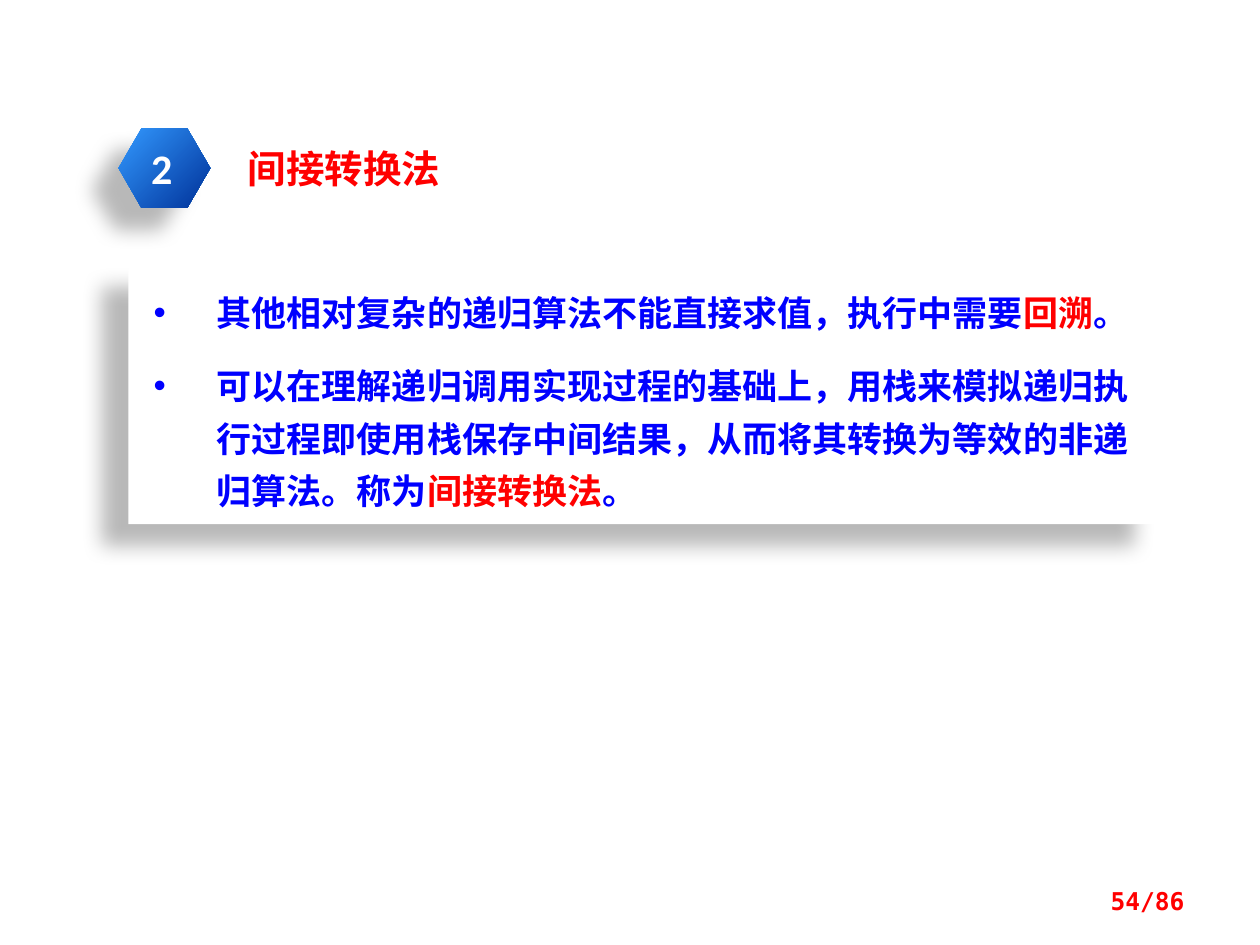
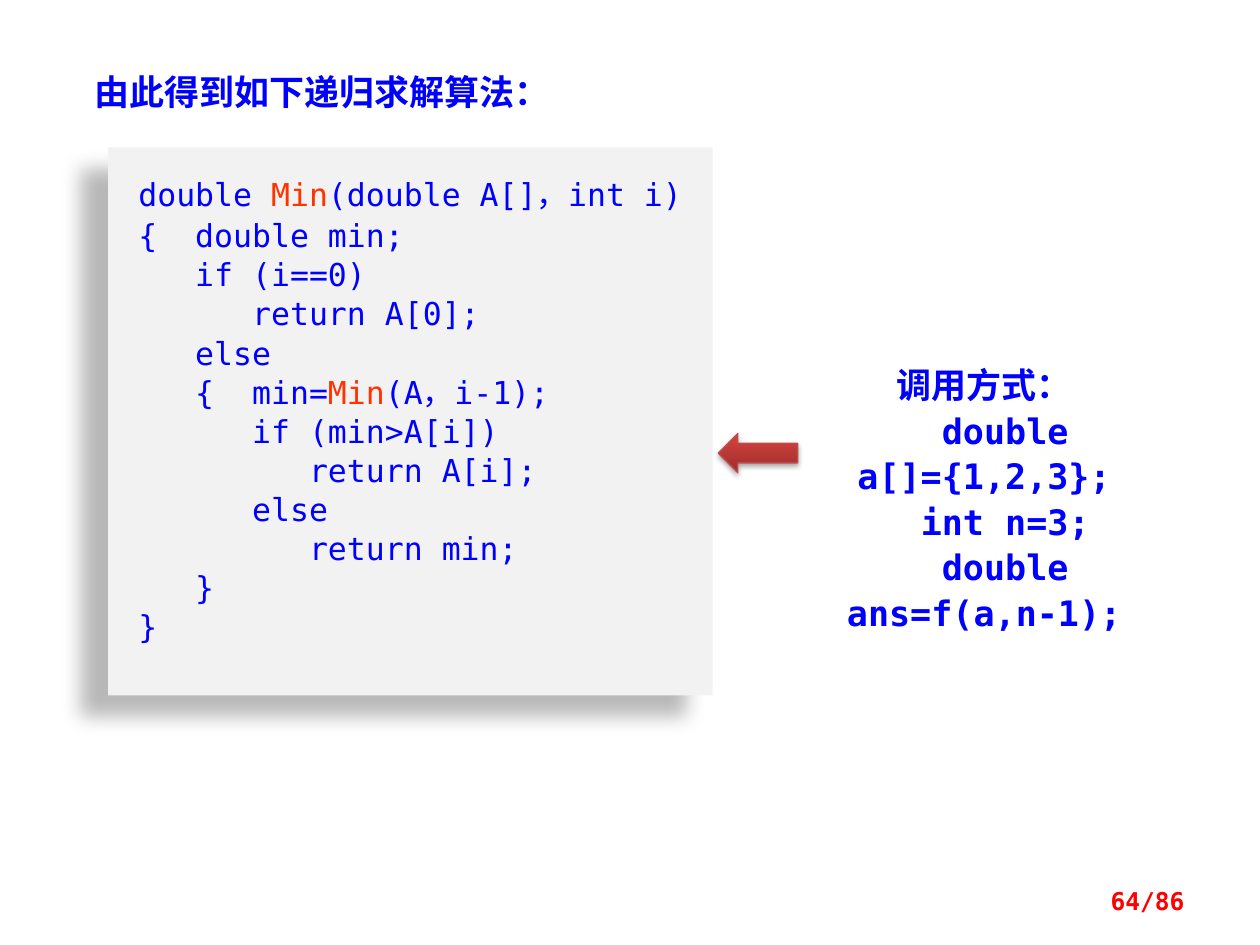
from lxml import etree
from pptx import Presentation
from pptx.dml.color import RGBColor
from pptx.enum.shapes import MSO_SHAPE
from pptx.enum.text import MSO_ANCHOR, PP_ALIGN
from pptx.oxml import parse_xml
from pptx.oxml.ns import nsdecls, qn
from pptx.util import Cm, Pt

RECTANGLE, HEXAGON, LEFT_ARROW = MSO_SHAPE.RECTANGLE, MSO_SHAPE.HEXAGON, MSO_SHAPE.LEFT_ARROW
TOP, MIDDLE = MSO_ANCHOR.TOP, MSO_ANCHOR.MIDDLE
LEFT, CENTER, RIGHT = PP_ALIGN.LEFT, PP_ALIGN.CENTER, PP_ALIGN.RIGHT

COLORS = {
    "blue": "0000FF", "red": "FF0000", "orange": "FF3300", "white": "FFFFFF",
    "code_panel": "F2F2F2", "arrow_line": "BF4C48", "shadow": "000000",
    "badge_light": "3399FF", "badge_dark": "003299",
    "arrow_dark": "9C2F2D", "arrow_light": "CB3E3A", "arrow_edge": "CE3B37",
}
SANS, MONO, LATIN = "Noto Sans CJK SC", "DejaVu Sans Mono", "Calibri"

PANEL_SHADOW = {"alpha": 28, "blur": 11.8, "distance": 19.7, "angle": 141}
ARROW_SHADOW = {"alpha": 35, "blur": 3.1, "distance": 1.8, "angle": 90}
BADGE_FILL = (45, [(0, "badge_light"), (100, "badge_dark")])
ARROW_FILL = (270, [(0, "arrow_dark"), (80, "arrow_light"), (100, "arrow_edge")])


def add_panel(page, kind, place, fill, shadow):
    shape = page.shapes.add_shape(kind, *map(Cm, place))
    shape.line.fill.background()
    if isinstance(fill, str):
        shape.fill.solid()
        shape.fill.fore_color.rgb = RGBColor.from_string(COLORS[fill])
    else:
        angle, stops = fill
        marks = "".join(
            f'<a:gs pos="{at * 1000}"><a:srgbClr val="{COLORS[name]}"/></a:gs>' for at, name in stops)
        shape.fill.background()
        blank = shape._element.spPr.find(qn("a:noFill"))
        blank.getparent().replace(blank, parse_xml(
            f'<a:gradFill {nsdecls("a")} rotWithShape="1"><a:gsLst>{marks}</a:gsLst>'
            f'<a:lin ang="{angle * 60000}" scaled="0"/></a:gradFill>'))
    shape.shadow.inherit = False
    shape._element.spPr.find(qn("a:effectLst")).append(parse_xml(
        f'<a:outerShdw {nsdecls("a")} blurRad="{Pt(shadow["blur"])}" dist="{Pt(shadow["distance"])}" '
        f'dir="{shadow["angle"] * 60000}" rotWithShape="0"><a:srgbClr val="{COLORS["shadow"]}">'
        f'<a:alpha val="{shadow["alpha"] * 1000}"/></a:srgbClr></a:outerShdw>'))
    return shape


def write(box, lines, font, color="blue", accent="red", frame=None, para_format=None,
          first_spacing=None, bullet=False):
    for name, value in {"word_wrap": True, "vertical_anchor": TOP, **(frame or {})}.items():
        setattr(box.text_frame, name, value)
    for index, line in enumerate(lines):
        para = box.text_frame.paragraphs[0] if index == 0 else box.text_frame.add_paragraph()
        if bullet:
            properties = para._p.get_or_add_pPr()
            properties.set("marL", str(Cm(1.27)))
            properties.set("indent", str(-Cm(1.27)))
            etree.SubElement(properties, qn("a:buFont")).set("typeface", "Arial")
            etree.SubElement(properties, qn("a:buChar")).set("char", "•")
        for name, value in {"alignment": LEFT, **(para_format or {})}.items():
            setattr(para, name, value)
        if index == 0:
            para.space_before = Pt(0)
            if first_spacing:
                para.line_spacing = first_spacing
        for position, words in enumerate(line.split("|")):
            span = para.add_run()
            span.text = words
            for name, value in font.items():
                setattr(span.font, name, value)
            span.font.color.rgb = RGBColor.from_string(COLORS[accent if position % 2 else color])
            etree.SubElement(span._r.get_or_add_rPr(), qn("a:ea")).set("typeface", SANS)


deck = Presentation()
deck.slide_width, deck.slide_height = Cm(25.4), Cm(19.05)
blank_layout = deck.slide_layouts[6]

method_page = deck.slides.add_slide(blank_layout)
heading = method_page.shapes.add_textbox(Cm(4.75), Cm(2.79), Cm(4.95), Cm(1.19))
write(heading, ["间接转换法"], {"name": SANS, "size": Pt(22), "bold": True}, "red")

badge = add_panel(method_page, HEXAGON, (2.39, 2.59, 1.85, 1.6), BADGE_FILL, PANEL_SHADOW)
badge.adjustments[0] = 0.289
number = method_page.shapes.add_textbox(Cm(2.79), Cm(2.74), Cm(0.94), Cm(1.27))
write(number, ["2"], {"name": LATIN, "size": Pt(24), "bold": True}, "white",
      frame={"word_wrap": False}, para_format={"alignment": CENTER})
method_page.shapes.add_group_shape([badge, number])

points = add_panel(method_page, RECTANGLE, (2.59, 5.36, 20.83, 5.21), "white", PANEL_SHADOW)
write(points, [
    "其他相对复杂的递归算法不能直接求值，执行中需要|回溯|。",
    "可以在理解递归调用实现过程的基础上，用栈来模拟递归执行过程即使用栈保存中间结果，"
    "从而将其转换为等效的非递归算法。称为|间接转换法|。",
], {"name": MONO, "size": Pt(20), "bold": True}, bullet=True,
    frame={"margin_left": Cm(0.51), "margin_top": Cm(0.3), "margin_bottom": Cm(0.3)},
    para_format={"line_spacing": Pt(30), "space_before": Pt(12)})

code_page = deck.slides.add_slide(blank_layout)
code = add_panel(code_page, RECTANGLE, (2.18, 2.97, 12.19, 11.05), "code_panel", PANEL_SHADOW)
write(code, [
    "double |Min|(double A[]，int i)",
    "{  double min;",
    "   if (i==0)",
    "      return A[0];",
    "   else",
    "   {  min=|Min|(A，i-1);",
    "      if (min>A[i])",
    "         return A[i];",
    "      else",
    "         return min;",
    "   }",
    "}",
], {"name": MONO, "size": Pt(18)}, accent="orange", first_spacing=1.2,
    frame={"margin_left": Cm(0.61), "margin_right": Cm(0.61),
           "margin_top": Cm(0.41), "margin_bottom": Cm(0.41)},
    para_format={"line_spacing": 0.6, "space_before": Pt(9.4)})

lead = code_page.shapes.add_textbox(Cm(1.65), Cm(1.12), Cm(16.43), Cm(1.14))
write(lead, ["由此得到如下递归求解算法："], {"name": SANS, "size": Pt(20), "bold": True},
      para_format={"line_spacing": 1.2})

call = code_page.shapes.add_textbox(Cm(15.47), Cm(7.14), Cm(8.74), Cm(3.96))
write(call, ["调用方式：", "  double a[]={1,2,3};", "  int n=3;", "  double ans=f(a,n-1);"],
      {"name": MONO, "size": Pt(20), "bold": True},
      para_format={"alignment": CENTER, "line_spacing": Pt(26)})

arrow = add_panel(code_page, LEFT_ARROW, (14.48, 8.74, 1.6, 0.79), ARROW_FILL, ARROW_SHADOW)
arrow.line.color.rgb = RGBColor.from_string(COLORS["arrow_line"])
arrow.line.width = Pt(0.75)

for page, page_number in ((method_page, 54), (code_page, 64)):
    footer = page.shapes.add_textbox(Cm(18.21), Cm(17.65), Cm(5.92), Cm(1.02))
    write(footer, [f"{page_number}/86"], {"name": MONO, "size": Pt(14), "bold": True}, "red",
          frame={"vertical_anchor": MIDDLE}, para_format={"alignment": RIGHT})

deck.save("out.pptx")
